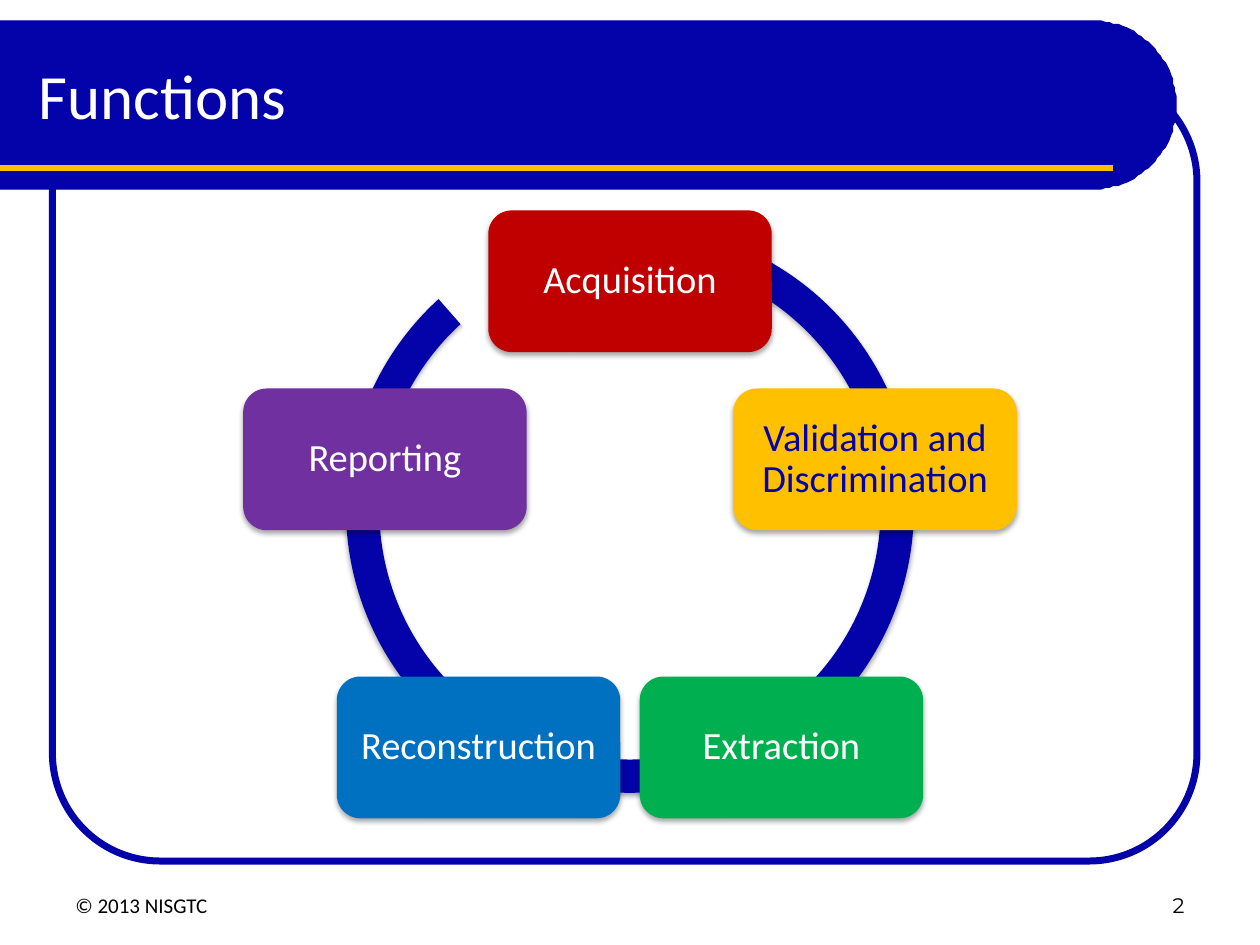
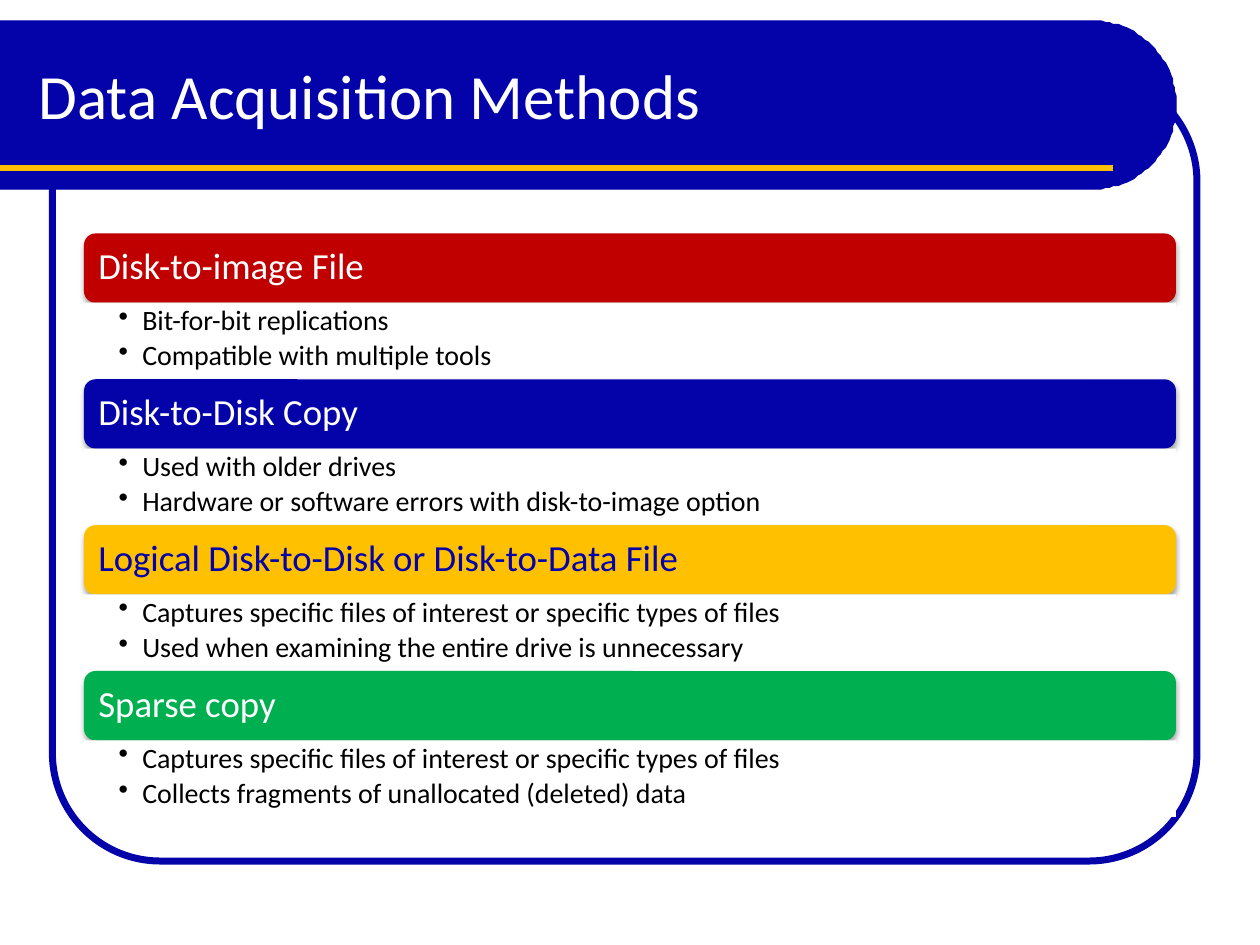
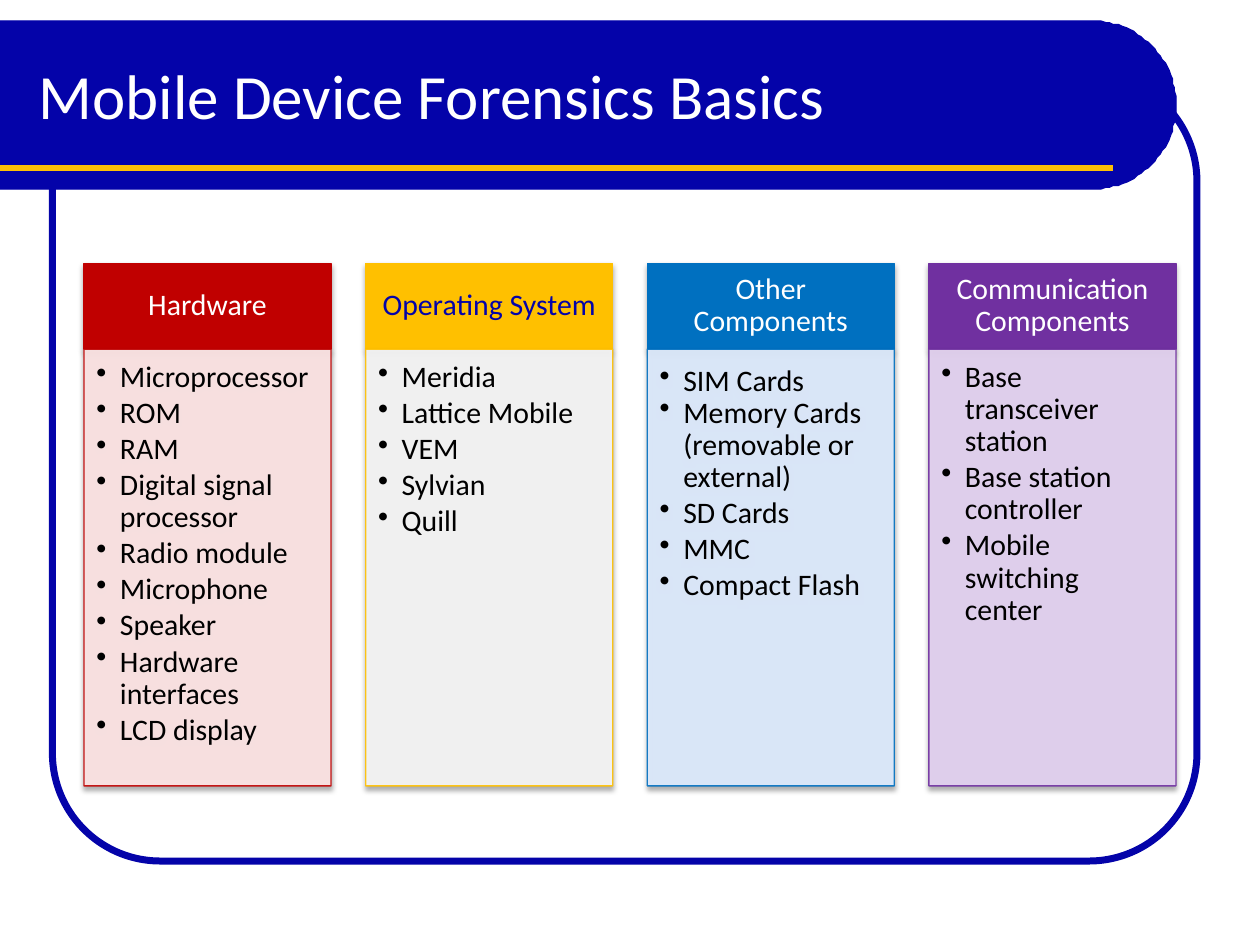
"""Build three forensics slides: a function cycle, acquisition methods and mobile device basics."""
import math

import lxml.etree
import pptx
import pptx.dml.color
import pptx.enum.shapes
import pptx.enum.text
import pptx.oxml.ns
import pptx.util

Pt = pptx.util.Pt
RGBColor = pptx.dml.color.RGBColor
Shape = pptx.enum.shapes.MSO_SHAPE
Align = pptx.enum.text.PP_ALIGN
Anchor = pptx.enum.text.MSO_ANCHOR
qn = pptx.oxml.ns.qn

NAVY = RGBColor(0x04, 0x03, 0xA9)
GOLD = RGBColor(0xFD, 0xC0, 0x05)
WHITE = RGBColor(0xFF, 0xFF, 0xFF)
BLACK = RGBColor(0x00, 0x00, 0x00)
RED = RGBColor(0xC0, 0x00, 0x00)
AMBER = RGBColor(0xFF, 0xC0, 0x00)
GREEN = RGBColor(0x00, 0xB0, 0x50)
BLUE = RGBColor(0x00, 0x70, 0xC0)
PURPLE = RGBColor(0x70, 0x30, 0xA0)
PALE_RED = RGBColor(0xFF, 0xE5, 0xE5)
PALE_GREY = RGBColor(0xF8, 0xF8, 0xF8)
PALE_BLUE = RGBColor(0xDE, 0xEC, 0xFF)
PALE_PURPLE = RGBColor(0xE4, 0xD2, 0xF2)


def add_panel(page, kind, left, top, width, height, fill, line=None, opacity=100, shadow=True):
    """Add a filled shape with an optional thin outline and soft shadow."""
    panel = page.shapes.add_shape(kind, Pt(left), Pt(top), Pt(width), Pt(height))
    panel.fill.solid()
    panel.fill.fore_color.rgb = fill
    if line is None:
        panel.line.fill.background()
    else:
        panel.line.color.rgb = line
        panel.line.width = Pt(0.75)
    if opacity < 100:
        for color in panel.element.spPr.findall(".//" + qn("a:srgbClr")):
            lxml.etree.SubElement(color, qn("a:alpha"), val=str(opacity * 1000))
    panel.shadow.inherit = False
    if shadow:
        effects = panel.element.spPr.find(qn("a:effectLst"))
        outer = lxml.etree.SubElement(
            effects, qn("a:outerShdw"), blurRad=str(Pt(3.1)), dist=str(Pt(1.8)),
            dir="5400000", rotWithShape="0")
        color = lxml.etree.SubElement(outer, qn("a:srgbClr"), val="000000")
        lxml.etree.SubElement(color, qn("a:alpha"), val="35000")
    return panel


def write(box, lines, size, color, align=Align.LEFT, anchor=Anchor.MIDDLE,
          margins=(7.2, 3.6, 7.2, 3.6), spacing=0.9, after=0, bullet=False, font="Calibri"):
    """Fill a box with one paragraph per line; margins run left, top, right, bottom."""
    frame = box.text_frame
    frame.word_wrap = True
    frame.vertical_anchor = anchor
    frame.margin_left, frame.margin_top, frame.margin_right, frame.margin_bottom = map(Pt, margins)
    for index, line in enumerate(lines):
        para = frame.add_paragraph() if index else frame.paragraphs[0]
        para.add_run().text = line
        if bullet:
            properties = para._p.get_or_add_pPr()
            properties.set("marL", str(Pt(13.5)))
            properties.set("indent", str(Pt(-13.5)))
            lxml.etree.SubElement(properties, qn("a:buChar"), char="•")
        para.alignment = align
        para.line_spacing = spacing
        para.space_after = Pt(after)
        para.font.name = font
        para.font.size = Pt(size)
        para.font.color.rgb = color


deck = pptx.Presentation()
deck.slide_width = Pt(720)
deck.slide_height = Pt(540)

pages = []
for title in ("Functions", "Data Acquisition Methods", "Mobile Device Forensics Basics"):
    page = deck.slides.add_slide(deck.slide_layouts[6])
    pages.append(page)

    frame = page.shapes.add_shape(Shape.ROUNDED_RECTANGLE, Pt(30), Pt(42), Pt(654), Pt(450))
    frame.adjustments[0] = 13.7 / 100
    frame.fill.background()
    frame.line.color.rgb = NAVY
    frame.line.width = Pt(4)
    frame.shadow.inherit = False

    arc = [(624 + 48 * math.cos(math.radians(angle)), 60 + 48 * math.sin(math.radians(angle)))
           for angle in range(-90, 91, 3)]
    outline = page.shapes.build_freeform(0, 12, scale=Pt(1))
    outline.add_line_segments(arc + [(0, 108)], close=True)
    band = outline.convert_to_shape()
    band.fill.solid()
    band.fill.fore_color.rgb = NAVY
    band.line.color.rgb = NAVY
    band.line.width = Pt(0.75)
    band.shadow.inherit = False

    rule = page.shapes.add_connector(
        pptx.enum.shapes.MSO_CONNECTOR.STRAIGHT, Pt(0), Pt(96), Pt(636), Pt(96))
    rule.line.color.rgb = GOLD
    rule.line.width = Pt(3)
    lxml.etree.SubElement(rule.element.spPr, qn("a:effectLst"))

    heading = page.shapes.add_textbox(Pt(15), Pt(18), Pt(631.5), Pt(72))
    write(heading, [title], 36, WHITE, spacing=1.0)

cycle_page, methods_page, mobile_page = pages

for left, text, align, font in (
    (36, "© 2013 NISGTC", Align.LEFT, "Calibri"),
    (516, "2", Align.RIGHT, "Montserrat"),
):
    footer = cycle_page.shapes.add_textbox(Pt(left), Pt(492), Pt(168), Pt(36))
    write(footer, [text], 12, BLACK, align, Anchor.BOTTOM, spacing=1.0, font=font)

ring = add_panel(cycle_page, Shape.CIRCULAR_ARROW, 187.2, 118, 345.6, 345.6, NAVY)
for index, percent in enumerate((5.5, 330.7, 13773.3, 17387.6, 5.8)):
    ring.adjustments[index] = percent / 100

steps = (
    ("Acquisition", RED, WHITE),
    ("Validation and Discrimination", AMBER, NAVY),
    ("Extraction", GREEN, WHITE),
    ("Reconstruction", BLUE, WHITE),
    ("Reporting", PURPLE, WHITE),
)
step_width, step_height, radius = 162, 81, 147.25
for index, (name, fill, color) in enumerate(steps):
    angle = 2 * math.pi * index / len(steps)
    center_x = 360 + radius * math.sin(angle)
    center_y = 308 - radius * math.cos(angle)
    step = add_panel(cycle_page, Shape.ROUNDED_RECTANGLE, center_x - step_width / 2,
                     center_y - step_height / 2, step_width, step_height, fill)
    write(step, [name], 22, color, Align.CENTER, margins=(6.6, 6.6, 6.6, 6.6))

arrow_cover = add_panel(cycle_page, Shape.ISOSCELES_TRIANGLE, 235.5, 156, 60, 24,
                        WHITE, WHITE, shadow=False)
arrow_cover.line.width = Pt(2)
arrow_cover.rotation = 48.7

methods = (
    ("Disk-to-image File", RED, WHITE,
     ("Bit-for-bit replications", "Compatible with multiple tools")),
    ("Disk-to-Disk Copy", NAVY, WHITE,
     ("Used with older drives", "Hardware or software errors with disk-to-image option")),
    ("Logical Disk-to-Disk or Disk-to-Data File", AMBER, NAVY,
     ("Captures specific files of interest or specific types of files",
      "Used when examining the entire drive is unnecessary")),
    ("Sparse copy", GREEN, WHITE,
     ("Captures specific files of interest or specific types of files",
      "Collects fragments of unallocated (deleted) data")),
)
bar_height, list_height = 39.6, 43.75
for index, (name, fill, color, details) in enumerate(methods):
    top = 133.4 + index * (bar_height + list_height)
    bar = add_panel(methods_page, Shape.ROUNDED_RECTANGLE, 48, top, 624, bar_height, fill)
    write(bar, [name], 21, color, margins=(6.3, 6.3, 6.3, 6.3))
    listing = add_panel(methods_page, Shape.RECTANGLE, 48, top + bar_height, 624, list_height,
                        WHITE, shadow=False)
    write(listing, details, 16, BLACK, anchor=Anchor.TOP, margins=(19.8, 2, 11.4, 2),
          after=3, bullet=True)

columns = (
    ("Hardware", RED, WHITE, PALE_RED,
     ("Microprocessor", "ROM", "RAM", "Digital signal processor", "Radio module",
      "Microphone", "Speaker", "Hardware interfaces", "LCD display")),
    ("Operating System", AMBER, NAVY, PALE_GREY,
     ("Meridia", "Lattice Mobile", "VEM", "Sylvian", "Quill")),
    ("Other Components", BLUE, WHITE, PALE_BLUE,
     ("SIM Cards", "Memory Cards (removable or external)", "SD Cards", "MMC", "Compact Flash")),
    ("Communication Components", PURPLE, WHITE, PALE_PURPLE,
     ("Base transceiver station", "Base station controller", "Mobile switching center")),
)
column_width, head_top, head_height, body_height = 141.2, 150.5, 49, 249.6
column_step = (624 - column_width) / (len(columns) - 1)
for index, (name, accent, color, tint, items) in enumerate(columns):
    left = 48 + index * column_step
    head = add_panel(mobile_page, Shape.RECTANGLE, left, head_top, column_width, head_height,
                     accent, accent)
    write(head, [name], 17, color, Align.CENTER, margins=(9.5, 5.5, 9.5, 5.5))
    body = add_panel(mobile_page, Shape.RECTANGLE, left, head_top + head_height, column_width,
                     body_height, tint, accent, opacity=90)
    write(body, items, 17, BLACK, anchor=Anchor.TOP, margins=(7.2, 7.2, 9.5, 10.8),
          after=2.25, bullet=True)
    if name == "Other Components":
        first_item = body.text_frame.paragraphs[0]
        first_item.line_spacing = 1.0
        first_item.space_after = Pt(0)

deck.save("out.pptx")
